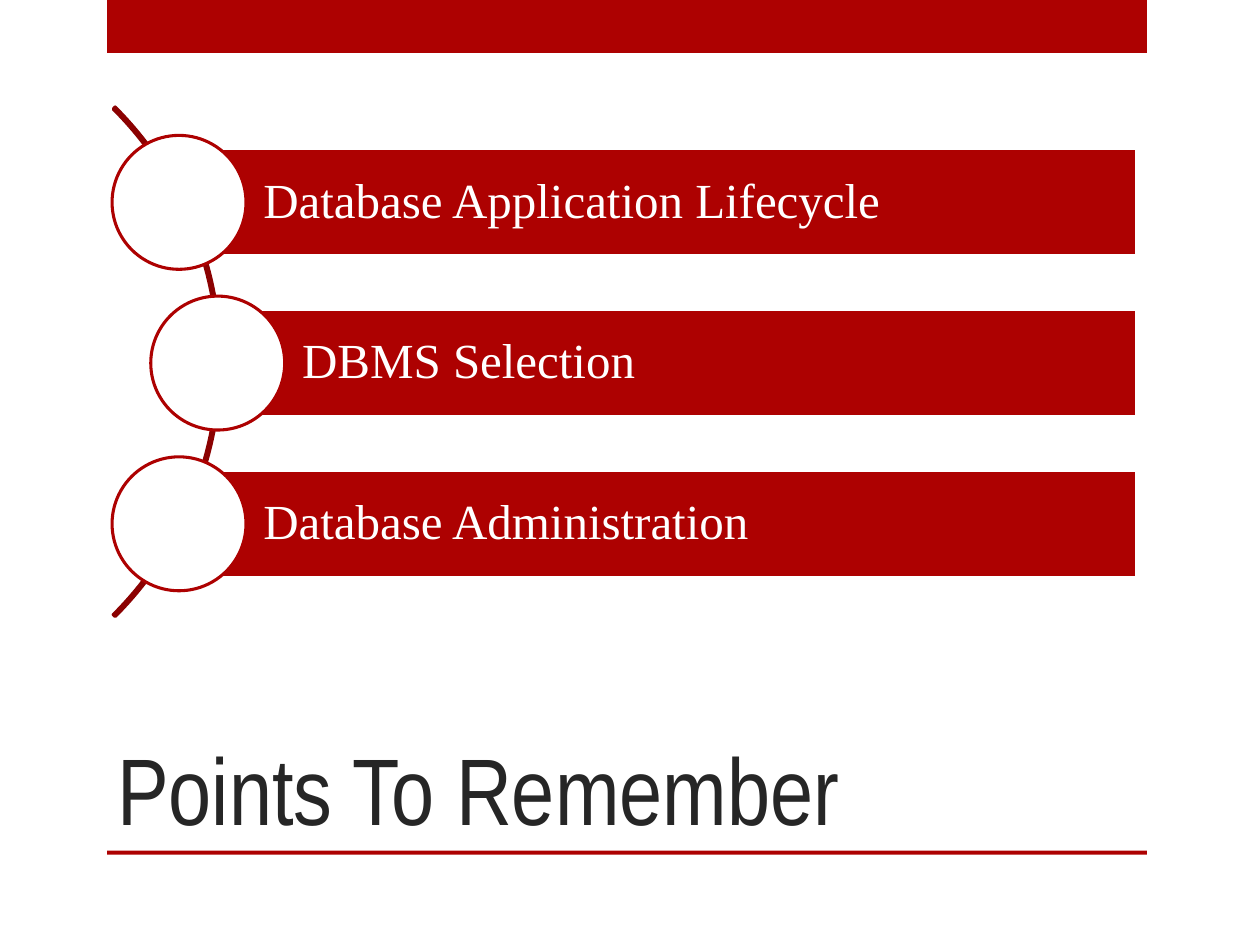
from dataclasses import dataclass

from pptx import Presentation
from pptx.dml.color import RGBColor
from pptx.enum.shapes import MSO_SHAPE as Preset
from pptx.enum.text import MSO_ANCHOR as Anchor, MSO_AUTO_SIZE as AutoSize, PP_ALIGN as Align
from pptx.shapes.autoshape import Shape
from pptx.slide import Slide
from pptx.util import Cm, Pt


@dataclass(frozen=True)
class Theme:
    red: RGBColor = RGBColor(0xAD, 0x01, 0x01)
    dark_red: RGBColor = RGBColor(0x8B, 0x01, 0x01)
    white: RGBColor = RGBColor(0xFF, 0xFF, 0xFF)
    ink: RGBColor = RGBColor(0x26, 0x26, 0x26)
    title_font: str = "Arial Narrow"
    point_font: str = "Times New Roman"
    title_size: Pt = Pt(54)
    point_size: Pt = Pt(28)
    outline: Pt = Pt(1.75)


@dataclass(frozen=True)
class Box:
    """Position and size in centimetres."""
    left: float
    top: float
    width: float
    height: float

    def lengths(self) -> tuple[Cm, ...]:
        return tuple(Cm(n) for n in (self.left, self.top, self.width, self.height))


@dataclass(frozen=True)
class Point:
    label: str
    center_x: float


THEME = Theme()
POINTS = (
    Point("Database Application Lifecycle", 3.61),
    Point("DBMS Selection", 4.39),
    Point("Database Administration", 3.61),
)
FIRST_CENTER_Y, ROW_STEP = 4.08, 3.24
BAR_RIGHT, BAR_HEIGHT, CIRCLE = 22.91, 2.16, 2.7
HEADER_BAND = Box(2.16, 0, 20.96, 1.07)
TITLE_RULE = Box(2.16, 17.15, 20.96, 0.08)
TITLE_AREA = Box(2.11, 12.7, 18.85, 4.45)
ARC = Box(-10.08, 0.03, 14.53, 14.53)


def apply_format(target: object, values: dict[str, object]) -> None:
    for name, value in values.items():
        setattr(target, name, value)


def add_preset(slide: Slide, preset: Preset, box: Box,
               fill: RGBColor | None, line: RGBColor | None) -> Shape:
    shape = slide.shapes.add_shape(preset, *box.lengths())
    shape.shadow.inherit = False
    if fill is None:
        shape.fill.background()
    else:
        shape.fill.solid()
        shape.fill.fore_color.rgb = fill
    if line is None:
        shape.line.fill.background()
    else:
        shape.line.color.rgb = line
        shape.line.width = THEME.outline
    return shape


def write(shape: Shape, text: str, frame_format: dict[str, object],
          font_format: dict[str, object], color: RGBColor, line_spacing: float) -> None:
    frame = shape.text_frame
    frame.text = text
    apply_format(frame, {"word_wrap": True, "auto_size": AutoSize.NONE, **frame_format})
    paragraph = frame.paragraphs[0]
    apply_format(paragraph, {"alignment": Align.LEFT, "line_spacing": line_spacing})
    font = paragraph.runs[0].font
    apply_format(font, font_format)
    font.color.rgb = color


def add_title(slide: Slide, text: str) -> None:
    title = slide.shapes.title
    apply_format(title, dict(zip(("left", "top", "width", "height"), TITLE_AREA.lengths())))
    write(title, text, {"vertical_anchor": Anchor.BOTTOM},
          {"name": THEME.title_font, "size": THEME.title_size}, THEME.ink, 1.0)


def add_arc(slide: Slide) -> None:
    arc = add_preset(slide, Preset.BLOCK_ARC, ARC, None, THEME.dark_red)
    for index, value in enumerate((189, 27, 0.004)):
        arc.adjustments[index] = value


def add_point(slide: Slide, point: Point, center_y: float) -> None:
    bar_box = Box(point.center_x, center_y - BAR_HEIGHT / 2,
                  BAR_RIGHT - point.center_x, BAR_HEIGHT)
    bar = add_preset(slide, Preset.RECTANGLE, bar_box, THEME.red, THEME.white)
    insets = {"margin_left": Cm(1.7), "margin_top": Cm(0.2),
              "margin_right": Cm(0.2), "margin_bottom": Cm(0.2)}
    write(bar, point.label, {"vertical_anchor": Anchor.MIDDLE, **insets},
          {"name": THEME.point_font, "size": THEME.point_size}, THEME.white, 0.9)
    circle_box = Box(point.center_x - CIRCLE / 2, center_y - CIRCLE / 2, CIRCLE, CIRCLE)
    add_preset(slide, Preset.OVAL, circle_box, THEME.white, THEME.red)


def main() -> None:
    deck = Presentation()
    apply_format(deck, {"slide_width": Cm(25.4), "slide_height": Cm(19.05)})
    slide = deck.slides.add_slide(deck.slide_layouts.get_by_name("Title Only"))
    for band in (HEADER_BAND, TITLE_RULE):
        add_preset(slide, Preset.RECTANGLE, band, THEME.red, None)
    add_title(slide, "Points To Remember")
    add_arc(slide)
    for row, point in enumerate(POINTS):
        add_point(slide, point, FIRST_CENTER_Y + row * ROW_STEP)
    deck.save("out.pptx")


if __name__ == "__main__":
    main()
